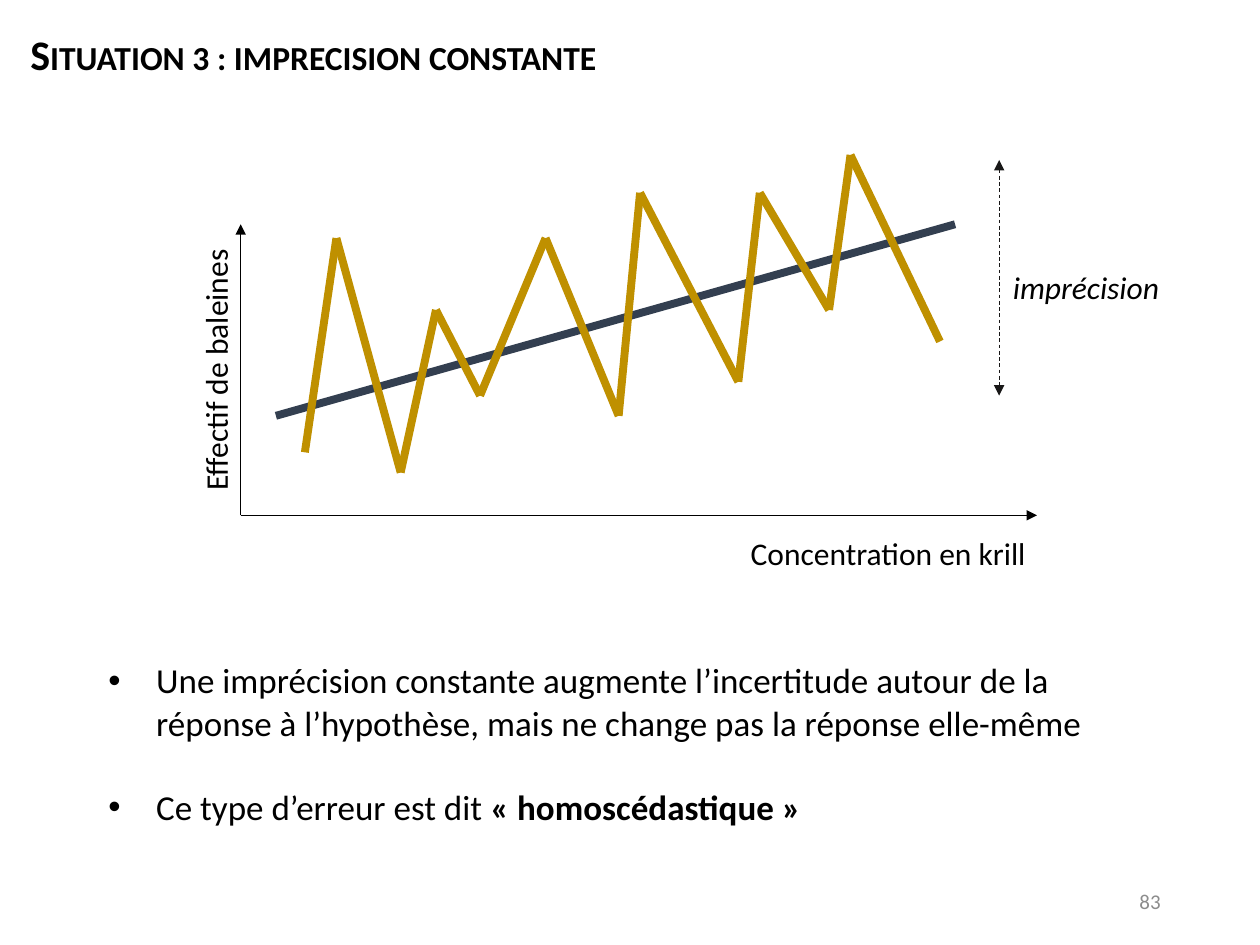
from itertools import pairwise

from lxml.etree import SubElement
from pptx import Presentation
from pptx.dml.color import RGBColor
from pptx.enum.dml import MSO_LINE_DASH_STYLE as Dash
from pptx.enum.shapes import MSO_CONNECTOR as Connector
from pptx.enum.text import MSO_ANCHOR as Anchor, MSO_AUTO_SIZE as AutoSize, PP_ALIGN as Align
from pptx.oxml.ns import qn
from pptx.util import Inches, Pt

SLIDE_WIDTH, SLIDE_HEIGHT = Inches(10), Inches(7.5)
COLUMNS, ROWS = 100, 75
FONT = "Calibri"

BLACK = RGBColor(0x00, 0x00, 0x00)
GREY = RGBColor(0x8C, 0x8C, 0x8C)
TREND = RGBColor(0x33, 0x3F, 0x50)
SERIES = RGBColor(0xBF, 0x90, 0x00)
RANGE = RGBColor(0x18, 0x17, 0x17)

ORIGIN_COLUMN, ORIGIN_ROW = 19.1, 40.9
WHALE_COUNTS = [
    (24.2, 35.9), (26.7, 18.9), (31.8, 37.5), (34.6, 24.6), (38.1, 31.4), (43.3, 18.9),
    (49.1, 33), (50.8, 15.3), (58.6, 30.3), (60.3, 15.3), (65.8, 24.6), (67.5, 12.3),
    (74.6, 27.1),
]
CONCLUSIONS = [
    [("Une imprécision constante augmente l’incertitude autour de la réponse à "
      "l’hypothèse, mais ne change pas la réponse elle-même", False)],
    [("Ce type d’erreur est dit ", False), ("« homoscédastique »", True)],
]


def across(columns):
    return round(SLIDE_WIDTH * columns / COLUMNS)


def down(rows):
    return round(SLIDE_HEIGHT * rows / ROWS)


def place(shape, column, row, width, height):
    shape.left, shape.top = across(column), down(row)
    shape.width, shape.height = across(width), down(height)


def write(paragraph, text, size=18, color=BLACK, bold=False, italic=False,
          small_caps=False, align=Align.LEFT):
    paragraph.alignment = align
    run = paragraph.add_run()
    run.text = text
    font = run.font
    font.name, font.size, font.bold, font.italic = FONT, Pt(size), bold, italic
    font.color.rgb = color
    if small_caps:
        run._r.get_or_add_rPr().set("cap", "small")


def add_label(slide, text, area, rotation=0, anchor=Anchor.TOP, **text_format):
    label = slide.shapes.add_textbox(0, 0, 0, 0)
    place(label, *area)
    label.rotation = rotation
    frame = label.text_frame
    frame.word_wrap = True
    frame.vertical_anchor = anchor
    write(frame.paragraphs[0], text, **text_format)


def add_line(slide, start, end, color=BLACK, width=0.5, dash=None, arrows=()):
    connector = slide.shapes.add_connector(
        Connector.STRAIGHT, across(start[0]), down(start[1]), across(end[0]), down(end[1]))
    line = connector.line
    line.color.rgb = color
    line.width = Pt(width)
    if dash:
        line.dash_style = dash
    for arrow in arrows:
        SubElement(line._ln, qn(f"a:{arrow}"), type="triangle")
    SubElement(connector._element.spPr, qn("a:effectLst"))


def add_bullet(paragraph):
    properties = paragraph._p.get_or_add_pPr()
    properties.set("marL", str(Inches(0.38)))
    properties.set("indent", str(-Inches(0.38)))
    SubElement(properties, qn("a:buFont"), typeface="Arial")
    SubElement(properties, qn("a:buChar"), char="•")


def fill_title(title):
    place(title, 1.4, 1.5, 86.2, 5.1)
    frame = title.text_frame
    frame.auto_size = AutoSize.NONE
    frame.vertical_anchor = Anchor.TOP
    heading = frame.paragraphs[0]
    heading.line_spacing = 1.07
    write(heading, "Situation 3 : imprecision constante", size=24, bold=True, small_caps=True)


def fill_conclusions(body):
    place(body, 7.6, 51.8, 85.5, 14.5)
    frame = body.text_frame
    frame.auto_size = AutoSize.NONE
    for index, runs in enumerate(CONCLUSIONS):
        paragraph = frame.add_paragraph() if index else frame.paragraphs[0]
        add_bullet(paragraph)
        paragraph.space_before = Pt(24 if index else 0)
        for text, bold in runs:
            write(paragraph, text, size=20, bold=bold)


def draw_graph(slide):
    origin = (ORIGIN_COLUMN, ORIGIN_ROW)
    add_line(slide, origin, (ORIGIN_COLUMN, 17.8), arrows=["tailEnd"])
    add_line(slide, origin, (82.3, ORIGIN_ROW), arrows=["tailEnd"])
    add_label(slide, "Effectif de baleines", (2.6, 23.4, 29, 4), rotation=270)
    add_label(slide, "Concentration en krill", (58.6, 41.9, 29, 4))
    add_line(slide, (21.9, 33), (75.8, 17.8), color=TREND, width=4.5)
    for start, end in pairwise(WHALE_COUNTS):
        add_line(slide, start, end, color=SERIES, width=4.5)
    add_line(slide, (79.3, 12.7), (79.3, 31.4), color=RANGE, dash=Dash.DASH,
             arrows=["headEnd", "tailEnd"])
    add_label(slide, "imprécision", (79.4, 20.8, 13.8, 4), italic=True)


def main():
    presentation = Presentation()
    presentation.slide_width, presentation.slide_height = SLIDE_WIDTH, SLIDE_HEIGHT
    slide = presentation.slides.add_slide(presentation.slide_layouts[1])
    fill_title(slide.shapes.title)
    fill_conclusions(slide.placeholders[1])
    draw_graph(slide)
    add_label(slide, "83", (70.6, 69.5, 22.5, 4), anchor=Anchor.MIDDLE,
              size=12, color=GREY, align=Align.RIGHT)
    presentation.save("out.pptx")


if __name__ == "__main__":
    main()
